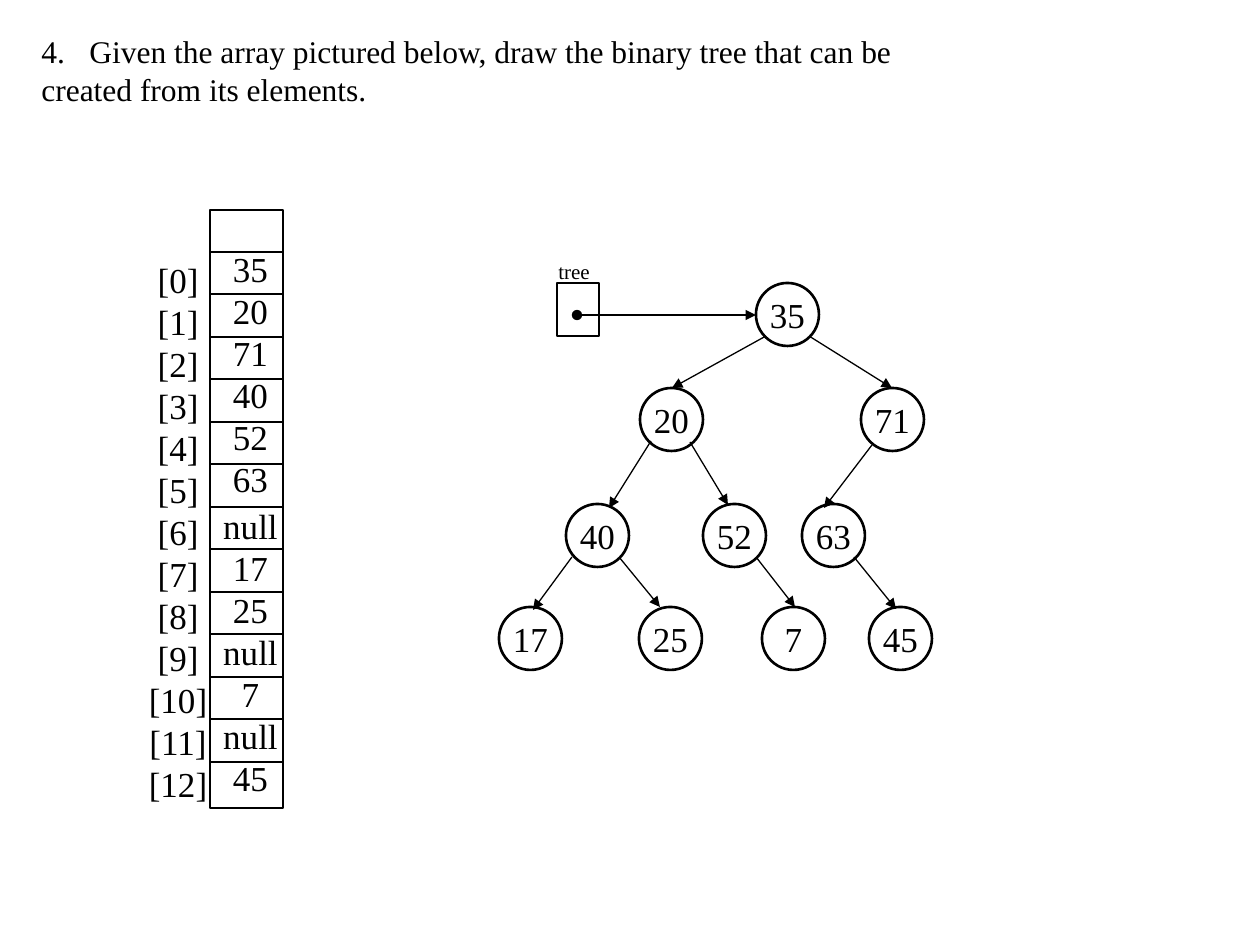
from lxml import etree
from pptx import Presentation
from pptx import util as u
from pptx.dml.color import RGBColor
from pptx.enum import shapes, text
from pptx.oxml.ns import qn

SCALE = 914400 / 126
COLORS = {"ink": "000000"}
INK = RGBColor.from_string(COLORS["ink"])
FONT = "Times New Roman"


def write(shape, lines, size=20, align=text.PP_ALIGN.CENTER, anchor=text.MSO_ANCHOR.TOP):
    """Fill a shape with one paragraph per line and return the paragraphs."""
    frame = shape.text_frame
    frame.word_wrap = False
    frame.vertical_anchor = anchor
    frame.text = "\n".join(lines)
    for paragraph in frame.paragraphs:
        paragraph.alignment = align
        font = paragraph.runs[0].font
        font.name, font.size, font.color.rgb = FONT, u.Pt(size), INK
    return frame.paragraphs


def connect(start, end, head=None, tail=None):
    """Draw a thin line; head and tail name the arrowheads at start and end."""
    ends = [round(value * SCALE) for value in (*start, *end)]
    line = slide.shapes.add_connector(shapes.MSO_CONNECTOR.STRAIGHT, *ends)
    line.line.color.rgb = INK
    line.line.width = u.Pt(0.75)
    for tag, kind in (("a:headEnd", head), ("a:tailEnd", tail)):
        if kind:
            etree.SubElement(line.line._get_or_add_ln(), qn(tag), type=kind)
    etree.SubElement(line._element.spPr, qn("a:effectLst"))


presentation = Presentation()
presentation.slide_width = round(1260 * SCALE)
presentation.slide_height = round(945 * SCALE)
slide = presentation.slides.add_slide(presentation.slide_layouts[6])

# Text boxes: question, array indexes, array values, pointer label
array = ["35", "20", "71", "40", "52", "63", "null", "17", "25", "null", "7", "null", "45"]
question = [
    "Given the array pictured below, draw the binary tree that can be",
    "created from its elements.",
]
text_boxes = [
    ((29, 26, 885, 89), question, {"size": 18, "align": text.PP_ALIGN.LEFT}),
    ((136, 252, 84, 564), [f"[{index}]" for index in range(len(array))], {}),
    ((210, 241, 81, 564), array, {}),
    ((546, 252, 57, 38), ["tree"], {"size": 12, "align": text.PP_ALIGN.LEFT}),
]
written = []
for box, lines, style in text_boxes:
    text_box = slide.shapes.add_textbox(*[round(value * SCALE) for value in box])
    written.append(write(text_box, lines, **style))

numbered = written[0][0]._p.get_or_add_pPr()
numbered.set("marL", str(round(48 * SCALE)))
numbered.set("indent", str(round(-48 * SCALE)))
etree.SubElement(numbered, qn("a:buAutoNum"), type="arabicPeriod", startAt="4")
written[2][array.index("null")].space_before = u.Pt(3)

# Outlines: array frame, pointer box and tree nodes
nodes = [
    ("35", 756, 283),
    ("20", 640, 388), ("71", 861, 388),
    ("40", 566, 504), ("52", 703, 504), ("63", 802, 504),
    ("17", 499, 607), ("25", 639, 607), ("7", 762, 607), ("45", 869, 607),
]
outlines = [
    (shapes.MSO_SHAPE.RECTANGLE, (210, 210, 73, 598), 0.75, None),
    (shapes.MSO_SHAPE.RECTANGLE, (557, 283, 42, 53), 0.75, None),
]
outlines += [(shapes.MSO_SHAPE.OVAL, (x, y, 63, 63), 1.5, label) for label, x, y in nodes]
for kind, box, weight, label in outlines:
    shape = slide.shapes.add_shape(kind, *[round(value * SCALE) for value in box])
    shape.shadow.inherit = False
    shape.fill.background()
    shape.line.color.rgb = INK
    shape.line.width = u.Pt(weight)
    if label:
        write(shape, [label], anchor=text.MSO_ANCHOR.MIDDLE)

# Array rows, then the pointer and the tree edges
for row in range(len(array)):
    y = 252 + row * 85 // 2
    connect((210, y), (283, y))

connect((577, 315), (756, 315), head="oval", tail="triangle")
edges = [
    ((766, 336), (672, 388)), ((809, 336), (892, 388)),
    ((651, 441), (609, 508)), ((690, 442), (728, 505)), ((872, 445), (824, 508)),
    ((572, 557), (533, 610)), ((619, 557), (660, 607)),
    ((756, 557), (795, 607)), ((854, 557), (896, 609)),
]
for parent, child in edges:
    connect(parent, child, tail="triangle")

presentation.save("out.pptx")
